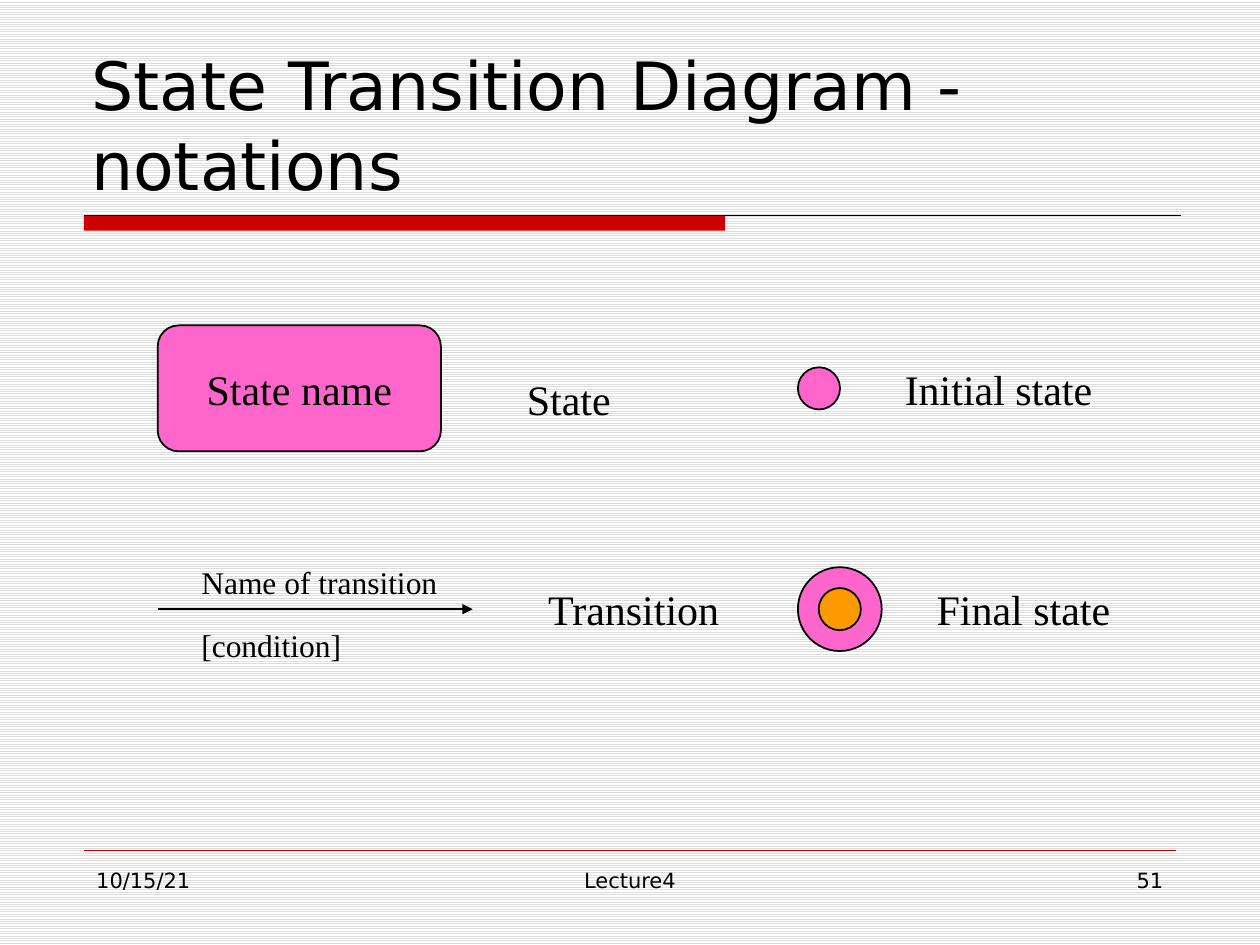
"""Build the slide explaining state transition diagram notation."""
from dataclasses import dataclass

from lxml import etree
from pptx import Presentation
from pptx import util as u
from pptx.dml import color
from pptx.enum import dml, shapes, text
from pptx.oxml import ns

COLOURS = {
    "ink": "000000",
    "paper": "FFFFFF",
    "stripe": "DDDDDD",
    "accent": "CC0000",
    "state": "FF66CC",
    "core": "FF9900",
}
SANS = "DejaVu Sans"
SERIF = "Times New Roman"
LEFT, CENTRE, RIGHT = text.PP_ALIGN.LEFT, text.PP_ALIGN.CENTER, text.PP_ALIGN.RIGHT


@dataclass(frozen=True)
class Label:
    """A line of text in its box, in centimetres and points."""
    wording: str
    left: float
    top: float
    width: float
    height: float
    size: int
    font: str = SERIF
    align: text.PP_ALIGN = LEFT
    anchor: text.MSO_ANCHOR = text.MSO_ANCHOR.TOP


@dataclass(frozen=True)
class Node:
    """An outlined or plain filled shape, in centimetres."""
    kind: shapes.MSO_SHAPE
    left: float
    top: float
    width: float
    height: float
    fill: str
    outlined: bool = True


@dataclass(frozen=True)
class Rule:
    """A horizontal line, in centimetres and points."""
    start: float
    end: float
    y: float
    colour: str
    weight: float
    arrow: bool = False


def circle(centre_x: float, centre_y: float, diameter: float, fill: str) -> Node:
    """Describe a circle by its centre."""
    radius = diameter / 2
    return Node(shapes.MSO_SHAPE.OVAL, centre_x - radius, centre_y - radius,
                diameter, diameter, fill)


def footer(wording: str, left: float, width: float, align: text.PP_ALIGN) -> Label:
    """Describe one of the footer texts."""
    return Label(wording, left, 17.36, width, 1.31, 12, SANS, align)


def rgb(name: str) -> color.RGBColor:
    """Look up a named colour."""
    return color.RGBColor.from_string(COLOURS[name])


def write(frame, wording: str, size: int, font: str, align: text.PP_ALIGN) -> None:
    """Write one run into a text frame."""
    paragraph = frame.paragraphs[0]
    paragraph.alignment = align
    run = paragraph.add_run()
    run.text = wording
    run.font.size = u.Pt(size)
    run.font.name = font
    run.font.color.rgb = rgb("ink")


def draw_label(slide, label: Label) -> None:
    """Draw a wrapping text box."""
    box = slide.shapes.add_textbox(u.Cm(label.left), u.Cm(label.top),
                                   u.Cm(label.width), u.Cm(label.height))
    box.text_frame.word_wrap = True
    box.text_frame.vertical_anchor = label.anchor
    write(box.text_frame, label.wording, label.size, label.font, label.align)


def draw_node(slide, node: Node):
    """Draw a filled shape and return it."""
    shape = slide.shapes.add_shape(node.kind, u.Cm(node.left), u.Cm(node.top),
                                   u.Cm(node.width), u.Cm(node.height))
    shape.shadow.inherit = False
    shape.fill.solid()
    shape.fill.fore_color.rgb = rgb(node.fill)
    if node.outlined:
        shape.line.color.rgb = rgb("ink")
        shape.line.width = u.Pt(1)
    else:
        shape.line.fill.background()
    return shape


def draw_rule(slide, rule: Rule) -> None:
    """Draw a horizontal line, with an arrowhead if asked."""
    line = slide.shapes.add_connector(shapes.MSO_CONNECTOR.STRAIGHT, u.Cm(rule.start),
                                      u.Cm(rule.y), u.Cm(rule.end), u.Cm(rule.y))
    line.line.color.rgb = rgb(rule.colour)
    line.line.width = u.Pt(rule.weight)
    if rule.arrow:
        head = etree.SubElement(line.line._get_or_add_ln(), ns.qn("a:tailEnd"))
        head.set("type", "triangle")
    etree.SubElement(line._element.spPr, ns.qn("a:effectLst"))


TITLE = Label("State Transition Diagram - notations", 1.59, 0.85, 22.23, 3.39, 38, SANS,
              anchor=text.MSO_ANCHOR.BOTTOM)
TITLE_BAR = Node(shapes.MSO_SHAPE.RECTANGLE, 1.69, 4.34, 12.93, 0.31, "accent", False)
STATE = Node(shapes.MSO_SHAPE.ROUNDED_RECTANGLE, 3.18, 6.56, 5.71, 2.54, "state")
RULES = [
    Rule(1.69, 23.81, 4.34, "ink", 0.75),
    Rule(1.69, 23.71, 17.14, "accent", 0.25),
    Rule(3.18, 9.53, 12.28, "ink", 1, arrow=True),
]
CIRCLES = [
    circle(16.51, 7.83, 0.85, "state"),
    circle(16.93, 12.28, 1.69, "state"),
    circle(16.93, 12.28, 0.85, "core"),
]
LABELS = [
    TITLE,
    Label("State", 10.37, 7.41, 5.93, 1.27, 24),
    Label("Transition", 10.8, 11.64, 5.5, 1.27, 24),
    Label("Name of transition", 3.81, 11.22, 5.5, 1.02, 18),
    Label("[condition]", 3.81, 12.49, 5.29, 1.02, 18),
    Label("Initial state", 17.99, 7.2, 6.14, 1.27, 24),
    Label("Final state", 18.63, 11.64, 4.44, 1.27, 24),
    footer("10/15/21", 1.69, 5.5, LEFT),
    footer("Lecture4", 8.68, 8.04, CENTRE),
    footer("51", 18.2, 5.5, RIGHT),
]


def main() -> None:
    """Build and save the slide."""
    deck = Presentation()
    deck.slide_width, deck.slide_height = u.Cm(25.4), u.Cm(19.05)
    slide = deck.slides.add_slide(deck.slide_layouts[6])
    backdrop = slide.background.fill
    backdrop.patterned()
    backdrop.pattern = dml.MSO_PATTERN.LIGHT_HORIZONTAL
    backdrop.fore_color.rgb = rgb("stripe")
    backdrop.back_color.rgb = rgb("paper")

    draw_node(slide, TITLE_BAR)
    for rule in RULES:
        draw_rule(slide, rule)
    state = draw_node(slide, STATE)
    state.text_frame.word_wrap = False
    state.text_frame.vertical_anchor = text.MSO_ANCHOR.MIDDLE
    write(state.text_frame, "State name", 24, SERIF, CENTRE)
    for node in CIRCLES:
        draw_node(slide, node)
    for label in LABELS:
        draw_label(slide, label)
    deck.save("out.pptx")


if __name__ == "__main__":
    main()
